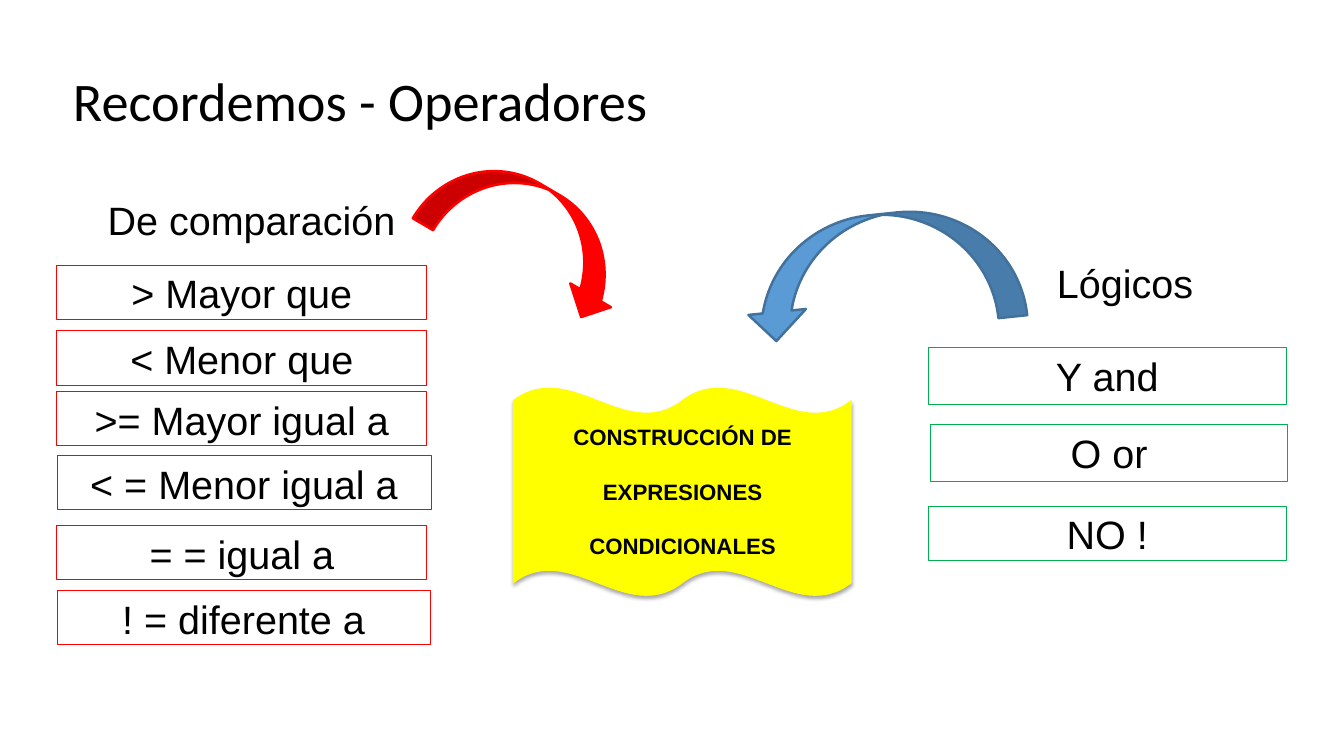
from lxml.etree import SubElement
from pptx import Presentation
from pptx.dml.color import RGBColor
from pptx.enum.shapes import MSO_SHAPE
from pptx.enum.text import MSO_ANCHOR, MSO_AUTO_SIZE, PP_ALIGN
from pptx.oxml.ns import qn
from pptx.util import Inches, Pt

BLACK = RGBColor(0, 0, 0)
RED = RGBColor(0xFF, 0, 0)
GREEN = RGBColor(0, 0xB0, 0x50)
BLUE = RGBColor(0x5B, 0x9B, 0xD5)
DARK_BLUE = RGBColor(0x42, 0x71, 0x9B)
YELLOW = RGBColor(0xFF, 0xFF, 0)

deck = Presentation()
deck.slide_width, deck.slide_height = Inches(15.11), Inches(8.5)
slide = deck.slides.add_slide(deck.slide_layouts[6])


def add_figure(preset, area, fill, outline, weight, angle=0):
    scale = (deck.slide_width, deck.slide_height) * 2
    figure = slide.shapes.add_shape(preset, *(int(side * share / 100) for side, share in zip(scale, area)))
    figure.shadow.inherit = False
    figure.rotation = angle
    if fill is None:
        figure.fill.background()
    else:
        figure.fill.solid()
        figure.fill.fore_color.rgb = fill
    if outline is None:
        figure.line.fill.background()
    else:
        figure.line.color.rgb = outline
        figure.line.width = Pt(weight)
    return figure


def write(figure, lines, size, font="Arial", bold=False, align=PP_ALIGN.CENTER,
          anchor=MSO_ANCHOR.TOP, fit=MSO_AUTO_SIZE.SHAPE_TO_FIT_TEXT, leading=1.0, gap=0):
    frame = figure.text_frame
    margin = Inches(0.05)
    frame_format = {"word_wrap": True, "auto_size": fit, "vertical_anchor": anchor,
                    "margin_left": margin, "margin_right": margin,
                    "margin_top": margin, "margin_bottom": margin}
    for key, value in frame_format.items():
        setattr(frame, key, value)
    for index, line in enumerate(lines):
        paragraph = frame.paragraphs[0] if index == 0 else frame.add_paragraph()
        paragraph.text = line
        paragraph.alignment = align
        paragraph.line_spacing = leading
        if index:
            paragraph.space_before = Pt(gap)
        for key, value in {"name": font, "size": Pt(size), "bold": bold}.items():
            setattr(paragraph.font, key, value)
        paragraph.font.color.rgb = BLACK


title = add_figure(MSO_SHAPE.RECTANGLE, (5.1, 4.12, 79.15, 19.29), None, None, 0)
write(title, ["Recordemos - Operadores"], 44, font="Calibri", align=PP_ALIGN.LEFT,
      anchor=MSO_ANCHOR.MIDDLE, fit=MSO_AUTO_SIZE.NONE, leading=0.9)

for heading, left, top in [("Lógicos", 72.07, 33.65), ("De comparación", 7.08, 25.41)]:
    write(add_figure(MSO_SHAPE.RECTANGLE, (left, top, 23.3, 7.06), None, None, 0), [heading], 32)

comparison = [
    ("> Mayor que", 35.06, 27.53),
    ("< Menor que", 43.76, 27.53),
    (">= Mayor igual a", 51.76, 27.53),
    ("< = Menor igual a", 60.24, 27.86),
    ("= = igual a", 69.53, 27.53),
    ("! = diferente a", 78.12, 27.8),
]
for operator, top, width in comparison:
    write(add_figure(MSO_SHAPE.RECTANGLE, (4.24, top, width, 7.18), None, RED, 0.75), [operator], 32)

logical = [("Y and", 69.09, 46, 7.53), ("O or", 69.23, 56.12, 7.53), ("NO !", 69.09, 66.94, 7.18)]
for operator, left, top, height in logical:
    write(add_figure(MSO_SHAPE.RECTANGLE, (left, top, 26.6, height), None, GREEN, 0.75), [operator], 32)

add_figure(MSO_SHAPE.CURVED_DOWN_ARROW, (31.37, 24.59, 16.28, 12.47), RED, RED, 2, 30.4)
add_figure(MSO_SHAPE.CURVED_UP_ARROW, (55.13, 28.35, 20.91, 15.29), BLUE, DARK_BLUE, 2, 174.1)

banner = add_figure(MSO_SHAPE.DOUBLE_WAVE, (38.19, 51.29, 25.15, 27.53), YELLOW, YELLOW, 0.75)
effects = banner.element.spPr.find(qn("a:effectLst"))
shade = SubElement(effects, qn("a:outerShdw"), blurRad=str(Pt(3)), dist=str(Pt(1.8)),
                   dir="5400000", rotWithShape="0")
shade_color = SubElement(shade, qn("a:srgbClr"), val=str(BLACK))
SubElement(shade_color, qn("a:alpha"), val="35000")

caption = add_figure(MSO_SHAPE.RECTANGLE, (38.58, 55.88, 24.42, 18.24), None, None, 0)
write(caption, ["CONSTRUCCIÓN DE", "EXPRESIONES", "CONDICIONALES"], 18, bold=True,
      anchor=MSO_ANCHOR.MIDDLE, gap=22.5)

deck.save("out.pptx")
